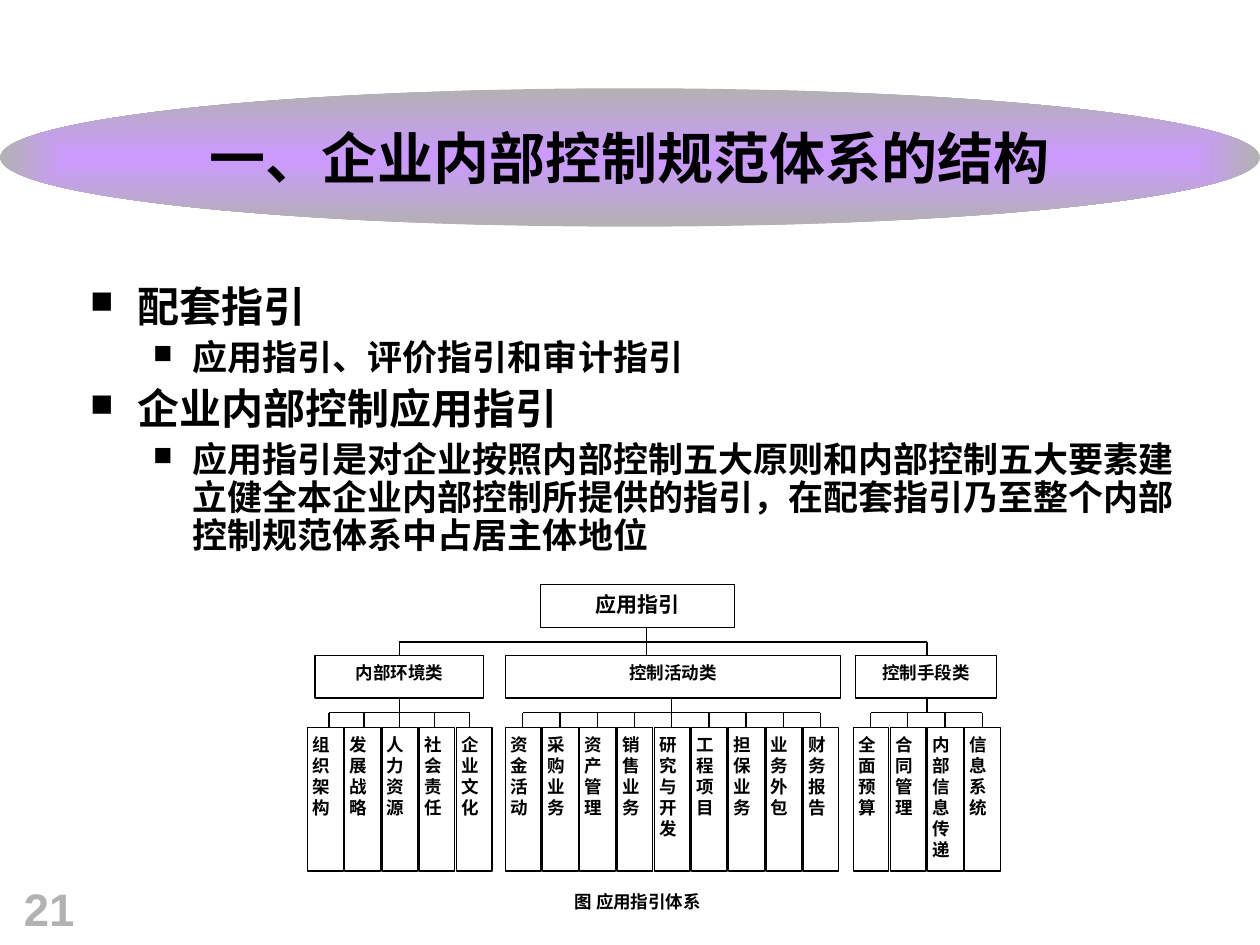
from lxml.etree import SubElement
from pptx import Presentation
from pptx.dml.color import RGBColor
from pptx.enum.shapes import MSO_CONNECTOR as Connector, MSO_SHAPE as Shape
from pptx.enum.text import MSO_ANCHOR as Anchor, MSO_AUTO_SIZE as AutoSize, PP_ALIGN as Align
from pptx.oxml import parse_xml
from pptx.oxml.ns import nsdecls, qn
from pptx.util import Cm, Pt

BLACK = RGBColor(0x00, 0x00, 0x00)
WHITE = RGBColor(0xFF, 0xFF, 0xFF)
GRAY = RGBColor(0xB2, 0xB2, 0xB2)
VIOLET = RGBColor(0xCC, 0x99, 0xFF)

# Vertical levels of the chart, in cm
ROOT_TOP, BOX_HEIGHT = 11.79, 0.86
TRUNK_Y, CATEGORY_TOP = 12.94, 13.21
BUS_Y, LEAF_TOP = 14.37, 14.66
LEAF_PITCH, LEAF_SIZE = 0.75, (0.72, 2.9)
LEAF_INSETS = (0.1, 0.13, 0.24, 0.13)

# Category: name, left, width, stem x, first leaf left, first tick x, tick pitch, leaves
CATEGORIES = [
    ("内部环境类", 6.35, 3.4, 8.05, 6.2, 6.63, 0.71,
     ["组织架构", "发展战略", "人力资源", "社会责任", "企业文化"]),
    ("控制活动类", 10.19, 6.76, 13.54, 10.19, 10.54, 0.75,
     ["资金活动", "采购业务", "资产管理", "销售业务", "研究与开发",
      "工程项目", "担保业务", "业务外包", "财务报告"]),
    ("控制手段类", 17.25, 2.84, 18.69, 17.2, 17.55, 0.75,
     ["全面预算", "合同管理", "内\n部\n信\n息\n传\n递", "信息系统"]),
]

# Outline: level, text
OUTLINE = [
    (0, "配套指引"),
    (1, "应用指引、评价指引和审计指引"),
    (0, "企业内部控制应用指引"),
    (1, "应用指引是对企业按照内部控制五大原则和内部控制五大要素建立健全本企业内部控制所提供的指引，"
        "在配套指引乃至整个内部控制规范体系中占居主体地位"),
]
# Level: left margin cm, hanging indent cm, size, space before
LEVELS = [(0.95, 0.95, 24, 6), (2.06, 0.79, 20, 5)]


class SlideBuilder:
    """Holds the style and the current page; one method per kind of element."""

    line_width = Pt(0.75)
    insets = (0.25, 0.13, 0.25, 0.13)

    def __init__(self, page):
        self.page = page

    def format_font(self, para, size, name, color=BLACK):
        style = {"size": Pt(size), "name": name, "bold": True}
        for key, value in style.items():
            setattr(para.font, key, value)
        para.font.color.rgb = color

    def format_frame(self, frame, anchor=Anchor.TOP, insets=None, wrap=True):
        left, top, right, bottom = map(Cm, insets or self.insets)
        style = {"margin_left": left, "margin_top": top, "margin_right": right,
                 "margin_bottom": bottom, "vertical_anchor": anchor,
                 "auto_size": AutoSize.NONE, "word_wrap": wrap}
        for key, value in style.items():
            setattr(frame, key, value)

    def title(self, text, left, top, width, height):
        ellipse = self.page.shapes.add_shape(
            Shape.OVAL, Cm(left), Cm(top), Cm(width), Cm(height))
        ellipse.shadow.inherit = False
        ellipse.line.fill.background()
        ellipse.fill.background()
        no_fill = ellipse.element.spPr.find(qn("a:noFill"))
        no_fill.getparent().replace(no_fill, parse_xml(
            f'<a:gradFill {nsdecls("a")} rotWithShape="1"><a:gsLst>'
            f'<a:gs pos="0"><a:srgbClr val="{VIOLET}"/></a:gs>'
            f'<a:gs pos="100000"><a:srgbClr val="{GRAY}"/></a:gs></a:gsLst>'
            '<a:path path="rect"><a:fillToRect l="50000" t="50000" r="50000" b="50000"/>'
            '</a:path></a:gradFill>'))

        title = self.page.shapes.title
        title.element.addprevious(ellipse.element)
        place = {"left": left, "top": top, "width": width, "height": height}
        for key, value in place.items():
            setattr(title, key, Cm(value))
        title.text_frame.text = text
        self.format_frame(title.text_frame, Anchor.MIDDLE)
        para = title.text_frame.paragraphs[0]
        para.alignment = Align.CENTER
        self.format_font(para, 32, "Times New Roman")

    def text_box(self, left, top, width, height, anchor=Anchor.TOP):
        box = self.page.shapes.add_textbox(Cm(left), Cm(top), Cm(width), Cm(height))
        self.format_frame(box.text_frame, anchor)
        return box.text_frame

    def outline(self, items, *place):
        frame = self.text_box(*place)
        for index, (level, text) in enumerate(items):
            para = frame.add_paragraph() if index else frame.paragraphs[0]
            margin, hanging, size, before = LEVELS[level]
            para.text, para.level, para.line_spacing = text, level, 0.9
            para.space_before = Pt(before if index else 0)
            props = para._p.get_or_add_pPr()
            props.set("marL", str(Cm(margin)))
            props.set("indent", str(-Cm(hanging)))
            color = SubElement(props, qn("a:buClr"))
            SubElement(color, qn("a:srgbClr"), val=str(BLACK))
            SubElement(props, qn("a:buSzPct"), val="75000")
            SubElement(props, qn("a:buChar"), char="■")
            self.format_font(para, size, "Arial")

    def box(self, text, left, top, width, height=BOX_HEIGHT, size=10,
            align=Align.CENTER, insets=None, border=True):
        box = self.page.shapes.add_shape(
            Shape.RECTANGLE, Cm(left), Cm(top), Cm(width), Cm(height))
        box.shadow.inherit = False
        box.fill.solid()
        box.fill.fore_color.rgb = WHITE
        if border:
            box.line.color.rgb = BLACK
            box.line.width = self.line_width
        else:
            box.line.fill.background()
        self.format_frame(box.text_frame, insets=insets)
        box.text_frame.text = text
        for para in box.text_frame.paragraphs:
            para.alignment = align
            self.format_font(para, size, "Calibri")

    def line(self, x1, y1, x2, y2):
        line = self.page.shapes.add_connector(
            Connector.STRAIGHT, Cm(x1), Cm(y1), Cm(x2), Cm(y2))
        line.line.color.rgb = BLACK
        line.line.width = self.line_width
        SubElement(line.element.spPr, qn("a:effectLst"))

    def category(self, name, left, width, stem, leaf_left, tick, tick_pitch, leaves):
        self.box(name, left, CATEGORY_TOP, width)
        self.line(stem, CATEGORY_TOP + BOX_HEIGHT, stem, BUS_Y)
        self.line(tick, BUS_Y, tick + tick_pitch * (len(leaves) - 1), BUS_Y)
        for index, leaf in enumerate(leaves):
            self.box(leaf, leaf_left + index * LEAF_PITCH, LEAF_TOP, *LEAF_SIZE,
                     align=Align.LEFT, insets=LEAF_INSETS)
            x = tick + index * tick_pitch
            self.line(x, BUS_Y, x, LEAF_TOP)


def main():
    deck = Presentation()
    deck.slide_width, deck.slide_height = Cm(25.4), Cm(19.05)
    builder = SlideBuilder(deck.slides.add_slide(deck.slide_layouts[5]))

    # Title and outline
    builder.title("一、企业内部控制规范体系的结构", 0, 1.78, 25.4, 2.79)
    builder.outline(OUTLINE, 1.57, 5.64, 22.94, 5.74)

    # Chart: root, trunk, categories with their leaves, caption
    builder.box("应用指引", 10.9, ROOT_TOP, 3.91, size=12)
    first, last = CATEGORIES[0][3], CATEGORIES[-1][3]
    builder.line(first, TRUNK_Y, last, TRUNK_Y)
    builder.line(13.03, ROOT_TOP + BOX_HEIGHT, 13.03, CATEGORY_TOP)
    for x in (first, last):
        builder.line(x, TRUNK_Y, x, CATEGORY_TOP)
    for category in CATEGORIES:
        builder.category(*category)
    builder.box("图 应用指引体系", 10.9, 17.83, 3.91, border=False)

    # Page number
    number = builder.text_box(0.23, 17.63, 1.63, 1.37, Anchor.BOTTOM)
    number.text = "21"
    builder.format_font(number.paragraphs[0], 26, "Arial", GRAY)

    deck.save("out.pptx")


if __name__ == "__main__":
    main()
